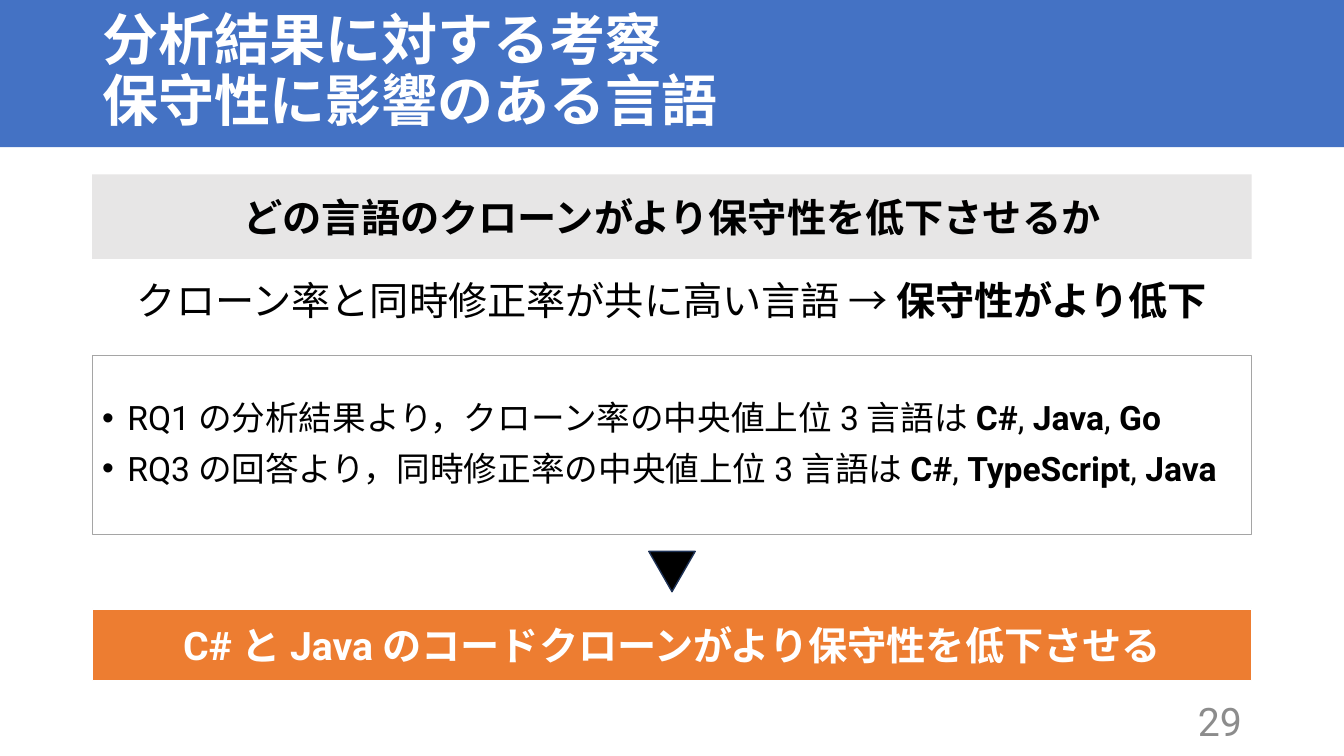
from lxml import etree
from pptx import Presentation
from pptx.dml.color import RGBColor
from pptx.enum.shapes import MSO_SHAPE as Shape
from pptx.enum.text import MSO_ANCHOR as Anchor, PP_ALIGN as Align
from pptx.oxml.ns import qn
from pptx.util import Inches, Pt

# Content: each paragraph is a list of (text, bold) or (text, bold, font) runs
TITLE = [[("分析結果に対する考察", True), ("\n", True), ("保守性に影響のある言語", True)]]
QUESTION = [[("どの言語のクローンがより保守性を低下させるか", True)]]
CRITERION = [[("クローン率と同時修正率が共に高い言語 → ", False), ("保守性がより低下", True)]]
FINDINGS = [
    ("RQ1の分析結果より，クローン率の中央値上位3言語は", ["C#", "Java", "Go"]),
    ("RQ3の回答より，同時修正率の中央値上位3言語は", ["C#", "TypeScript", "Java"]),
]
CONCLUSION = [[("C#", True), ("と", True, "Quicksand"),
               ("Javaのコードクローンがより保守性を低下させる", True)]]
PAGE = [[("29", False)]]

# Layout: one centred column, rows as (top, height)
WIDTH, HEIGHT = 13.33, 7.5
COLUMN = 11.5
LEFT = (WIDTH - COLUMN) / 2
ROWS = {
    "title": (0, 1.45),
    "question": (1.73, 0.84),
    "criterion": (2.74, 0.61),
    "findings": (3.53, 1.77),
    "arrow": (5.47, 0.4),
    "conclusion": (6.04, 0.71),
    "page": (6.95, 0.4),
}
ARROW_WIDTH, PAGE_WIDTH = 0.46, 3

presentation = Presentation()
presentation.slide_width, presentation.slide_height = Inches(WIDTH), Inches(HEIGHT)
slide = presentation.slides.add_slide(presentation.slide_layouts[6])


def color(value):
    return RGBColor.from_string(value)


def add_box(left, top, width, height, kind=Shape.RECTANGLE, fill=None, line=None, weight=1):
    shape = slide.shapes.add_shape(kind, *map(Inches, (left, top, width, height)))
    shape.shadow.inherit = False
    if fill:
        shape.fill.solid()
        shape.fill.fore_color.rgb = color(fill)
    else:
        shape.fill.background()
    if line:
        shape.line.color.rgb = color(line)
        shape.line.width = Pt(weight)
    else:
        shape.line.fill.background()
    return shape


def add_bullet(paragraph, indent=0.25):
    properties = paragraph._p.get_or_add_pPr()
    properties.set("marL", str(Inches(indent)))
    properties.set("indent", str(-Inches(indent)))
    etree.SubElement(properties, qn("a:buFont"), typeface="Arial")
    etree.SubElement(properties, qn("a:buChar"), char="•")


def write(shape, paragraphs, size=28, font="Roboto", ink="000000", align=Align.LEFT,
          anchor=Anchor.MIDDLE, spacing=None, before=None, bullet=False):
    frame = shape.text_frame
    frame.word_wrap = True
    frame.vertical_anchor = anchor
    for index, runs in enumerate(paragraphs):
        paragraph = frame.add_paragraph() if index else frame.paragraphs[0]
        paragraph.alignment = align
        if spacing:
            paragraph.line_spacing = spacing
        if before:
            paragraph.space_before = Pt(before)
        if bullet:
            add_bullet(paragraph)
        for text, bold, *other_font in runs:
            if text == "\n":
                paragraph.add_line_break()
                continue
            run = paragraph.add_run()
            run.text = text
            run.font.name = other_font[0] if other_font else font
            run.font.size = Pt(size)
            run.font.bold = bold
            run.font.color.rgb = color(ink)


def add_text(row, paragraphs, left=LEFT, width=COLUMN, **text_format):
    top, height = ROWS[row]
    box = slide.shapes.add_textbox(*map(Inches, (left, top, width, height)))
    write(box, paragraphs, **text_format)


def finding_runs(lead, languages):
    runs = [(lead, False)]
    for index, language in enumerate(languages):
        if index:
            runs.append((", ", False))
        runs.append((language, True))
    return runs


# Title band
add_box(0, 0, WIDTH, 1.46, fill="4472C4")
add_text("title", TITLE, size=40, ink="FFFFFF", spacing=0.9)

# Question and criterion
question = add_box(LEFT, ROWS["question"][0], COLUMN, ROWS["question"][1], fill="E7E6E6")
write(question, QUESTION, font="Quicksand", align=Align.CENTER)
add_text("criterion", CRITERION, align=Align.CENTER, anchor=Anchor.TOP, spacing=0.9, before=10)

# Findings
findings = add_box(LEFT, ROWS["findings"][0], COLUMN, ROWS["findings"][1],
                   line="A5A5A5", weight=0.75)
write(findings, [finding_runs(*finding) for finding in FINDINGS],
      size=24, spacing=0.9, before=10, bullet=True)

# Arrow down to the conclusion
arrow = add_box((WIDTH - ARROW_WIDTH) / 2, ROWS["arrow"][0], ARROW_WIDTH, ROWS["arrow"][1],
                kind=Shape.ISOSCELES_TRIANGLE, fill="000000", line="1E3256")
arrow.rotation = 180
conclusion = add_box(LEFT, ROWS["conclusion"][0], COLUMN, ROWS["conclusion"][1],
                     fill="ED7D31", line="FFFFFF")
write(conclusion, CONCLUSION, ink="FFFFFF", align=Align.CENTER)

# Page number
add_text("page", PAGE, left=LEFT + COLUMN - PAGE_WIDTH, width=PAGE_WIDTH,
         ink="8C8C8C", align=Align.RIGHT)

presentation.save("out.pptx")
